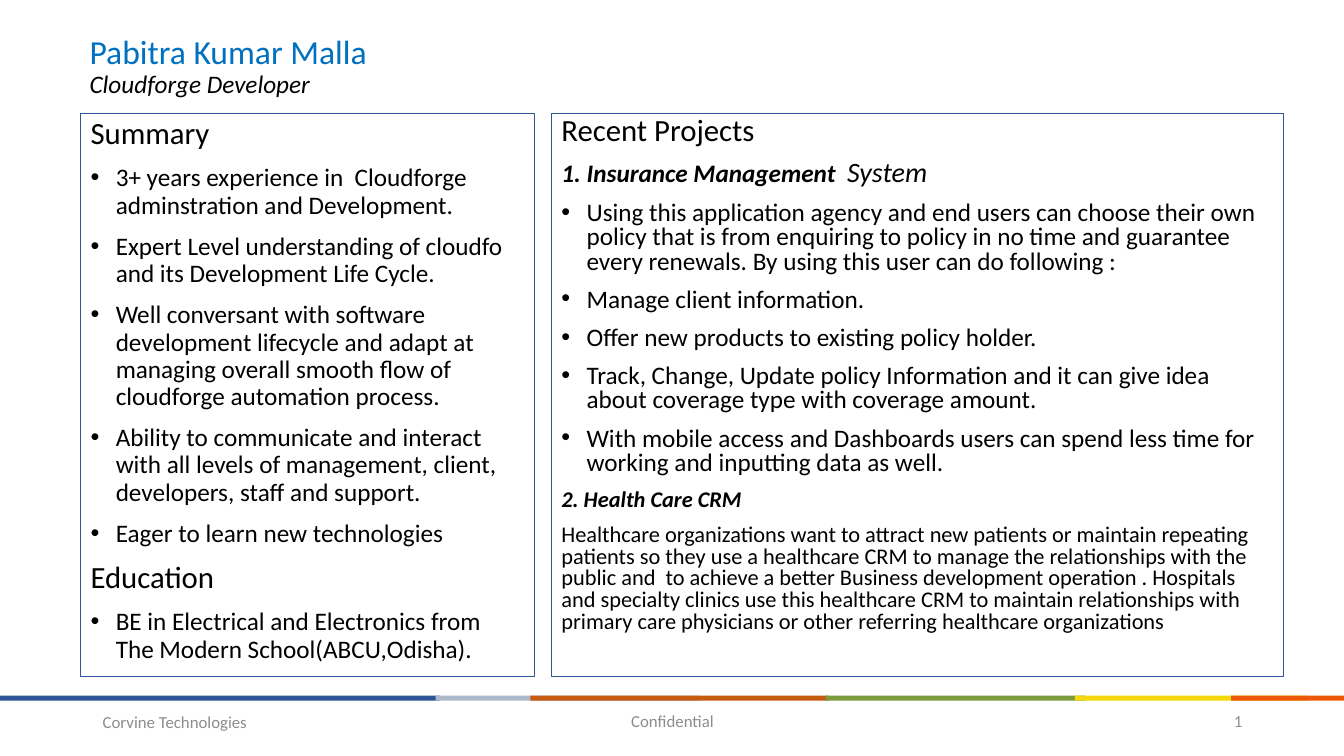
"""Build a one-page developer profile slide with summary and project panels."""
from pptx import Presentation
from pptx.dml.color import RGBColor
from pptx.enum.shapes import MSO_SHAPE as Shape
from pptx.enum.text import MSO_ANCHOR as Anchor, PP_ALIGN as Align
from pptx.oxml.xmlchemy import OxmlElement as Element
from pptx.util import Inches, Pt


def color(code):
    return RGBColor.from_string(code)


def style(run, size, code="000000", marks=""):
    font = run.font
    font.name, font.size = "Calibri", Pt(size)
    font.bold, font.italic = "b" in marks, "i" in marks
    font.color.rgb = color(code)


deck = Presentation()
deck.slide_width, deck.slide_height = Inches(13.33), Inches(7.5)
slide = deck.slides.add_slide(deck.slide_layouts[6])
shapes = slide.shapes

bands = [
    (0, 4.36, "2F5597"),
    (4.32, 2.61, "ADB9CA"),
    (5.26, 2.96, "C55A11"),
    (8.19, 2.57, "7C9B3F"),
    (10.66, 2.31, "F4D80C"),
    (12.21, 1.12, "ED5805"),
]
for left, width, code in bands:
    band = shapes.add_shape(Shape.RECTANGLE, Inches(left), Inches(6.9), Inches(width), Inches(0.05))
    band.shadow.inherit = False
    band.fill.solid()
    band.fill.fore_color.rgb = color(code)
    band.line.fill.background()

notes = [
    ("Corvine Technologies", 0.92, 6.96, 3.58, Align.LEFT),
    ("Confidential", 4.42, 6.95, 4.5, Align.CENTER),
    ("1", 9.42, 6.95, 3, Align.RIGHT),
]
for text, left, top, width, align in notes:
    frame = shapes.add_textbox(Inches(left), Inches(top), Inches(width), Inches(0.4)).text_frame
    frame.word_wrap = True
    frame.vertical_anchor = Anchor.MIDDLE
    frame.text = text
    para = frame.paragraphs[0]
    para.alignment = align
    style(para.runs[0], 12, "8C8C8C")

title = shapes.add_textbox(Inches(0.79), Inches(0.3), Inches(11.5), Inches(0.74)).text_frame
title.word_wrap = True
title.vertical_anchor = Anchor.MIDDLE
para = title.paragraphs[0]
para.text = "Pabitra Kumar Malla\vCloudforge Developer"
para.line_spacing = 0.9
name, role = para.runs
style(name, 24, "0070C0")
style(role, 18, marks="i")

about = [
    (False, [("Summary", 22, "")]),
    (True, [("3+ years experience in  Cloudforge adminstration and Development.", 18, "")]),
    (True, [("Expert Level understanding of cloudfo  and its Development Life Cycle.", 18, "")]),
    (True, [("Well conversant with software development lifecycle and adapt at managing "
             "overall smooth flow of cloudforge automation process.", 18, "")]),
    (True, [("Ability to communicate and interact with all levels of management, client, "
             "developers, staff and support.", 18, "")]),
    (True, [("Eager to learn new technologies", 18, "")]),
    (False, [("Education", 22, "")]),
    (True, [("BE in Electrical and Electronics from The Modern School(ABCU,Odisha).", 18, "")]),
]
work = [
    (False, [("Recent Projects", 22, "")]),
    (False, [("1. Insurance Management  ", 18, "bi"), ("System", 20, "i")]),
    (True, [("Using this application agency and end users can choose their own policy that is "
             "from enquiring to policy in no time and guarantee every renewals. By using this "
             "user can do following :", 18, "")]),
    (True, [("Manage client information.", 18, "")]),
    (True, [("Offer new products to existing policy holder.", 18, "")]),
    (True, [("Track, Change, Update policy Information and it can give idea about coverage "
             "type with coverage amount.", 18, "")]),
    (True, [("With mobile access and Dashboards users can spend less time for working and "
             "inputting data as well.", 18, "")]),
    (False, [("2. Health Care CRM", 16, "bi")]),
    (False, [("Healthcare organizations want to attract new patients or maintain repeating "
              "patients so they use a healthcare CRM to manage the relationships with the "
              "public and  to achieve a better Business development operation .\u00a0Hospitals "
              "and specialty clinics use this healthcare CRM to maintain relationships with "
              "primary care physicians or other referring healthcare organizations", 16, "")]),
]
for left, width, pitch, items in [(0.8, 4.5, 0.9, about), (5.47, 7.26, 0.8, work)]:
    panel = shapes.add_shape(Shape.RECTANGLE, Inches(left), Inches(1.12), Inches(width), Inches(5.59))
    panel.shadow.inherit = False
    panel.fill.background()
    panel.line.color.rgb = color("2F5597")
    panel.line.width = Pt(0.25)
    frame = panel.text_frame
    frame.word_wrap = True
    frame.vertical_anchor = Anchor.TOP
    for order, (dotted, parts) in enumerate(items):
        para = frame.add_paragraph() if order else frame.paragraphs[0]
        para.alignment = Align.LEFT
        para.line_spacing = pitch
        para.space_before = Pt(10)
        if dotted:
            props = para._p.get_or_add_pPr()
            props.set("marL", str(Inches(0.25)))
            props.set("indent", str(Inches(-0.25)))
            face = Element("a:buFont")
            face.set("typeface", "Arial")
            dot = Element("a:buChar")
            dot.set("char", "•")
            props.extend([face, dot])
        for text, size, marks in parts:
            run = para.add_run()
            run.text = text
            style(run, size, marks=marks)

deck.save("out.pptx")
